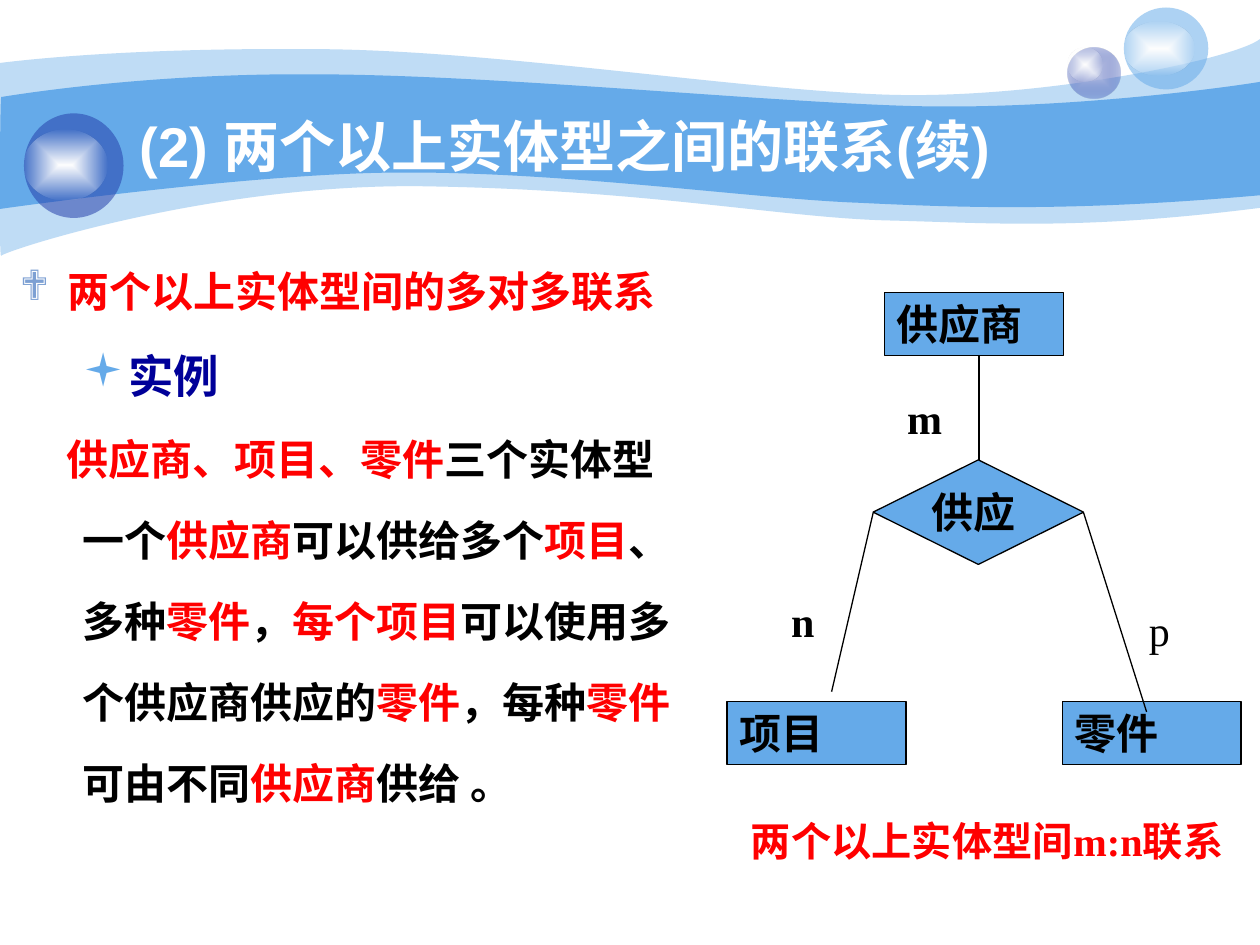
from lxml.etree import SubElement
from pptx import Presentation
from pptx.dml.color import RGBColor
from pptx.enum.shapes import MSO_CONNECTOR, MSO_SHAPE
from pptx.enum.text import MSO_ANCHOR, PP_ALIGN
from pptx.oxml.ns import qn
from pptx.util import Inches, Pt

BLUE = RGBColor(0x65, 0xAA, 0xE9)
INDIGO = RGBColor(0x23, 0x3D, 0xA9)
LILAC = RGBColor(0xC7, 0xCE, 0xE9)
STEEL = RGBColor(0x7D, 0xA0, 0xD3)
NAVY = RGBColor(0x00, 0x00, 0x99)
RED = RGBColor(0xFF, 0x00, 0x00)
BLACK = RGBColor(0x00, 0x00, 0x00)
WHITE = RGBColor(0xFF, 0xFF, 0xFF)
SERIF = "Times New Roman"

WAVES = [
    (41, (0, 0.5), [
        (0.24, 0.47, 1.07, 0.38, 2.47, 0.39), (3.86, 0.39, 5.75, 0.7, 6.99, 0.75),
        (8.22, 0.8, 9.8, 0.47, 10, 0.31), (10, 1.65),
        (8.58, 1.83, 7.87, 1.77, 7.05, 1.75), (6.22, 1.73, 5.15, 1.51, 3.43, 1.48),
        (1.72, 1.44, 0.04, 1.99, 0.01, 2.03), (-0.01, 2.08, 0, 0.75, 0, 0.5)]),
    (100, (0.01, 0.77), [
        (0.02, 0.77, 1.1, 0.58, 2.48, 0.59), (3.86, 0.59, 5.95, 0.8, 7.18, 0.84),
        (8.41, 0.88, 9.76, 0.69, 10, 0.65), (10, 1.55),
        (8.53, 1.68, 7.65, 1.65, 6.82, 1.61), (5.99, 1.58, 4.47, 1.36, 3.17, 1.37),
        (2.03, 1.37, -0.02, 1.66, -0.01, 1.66), (0, 1.66, 0, 0.77, 0.01, 0.77)]),
]

GLOSS = [(WHITE, 100), (WHITE, 0)]
BUBBLES = [
    ((8.47, 0.38, 0.42, 0.4), [(LILAC, 100), (INDIGO, 31)]),
    ((8.47, 0.38, 0.28, 0.27), GLOSS),
    ((8.92, 0.06, 0.67, 0.65), [(BLUE, 53)]),
    ((8.92, 0.17, 0.56, 0.43), GLOSS),
    ((0.19, 0.9, 0.79, 0.83), [(INDIGO, 53)]),
    ((0.19, 1.03, 0.66, 0.56), GLOSS),
]

TITLE = "(2) 两个以上实体型之间的联系(续)"
BODY = [
    (0, 0.38, -0.38, 24, ("❖", STEEL), [("两个以上实体型间的多对多联系", RED)]),
    (1, 0.81, -0.31, 26, ("▪", BLUE), [("实例", NAVY)]),
    (0, 0.37, 0, 24, None, [("供应商、项目、零件", RED), ("三个实体型", BLACK)]),
    (1, 0.5, 0, 24, None, [("一个", BLACK), ("供应商", RED), ("可以供给多个", BLACK),
                           ("项目", RED), ("、", BLACK)]),
    (1, 0.5, 0, 24, None, [("多种", BLACK), ("零件", RED), ("，", BLACK),
                           ("每个项目", RED), ("可以使用多", BLACK)]),
    (1, 0.5, 0, 24, None, [("个供应商供应的", BLACK), ("零件", RED), ("，每种", BLACK),
                           ("零件", RED)]),
    (1, 0.5, 0, 24, None, [("可由不同", BLACK), ("供应商", RED), ("供给 。", BLACK)]),
]

ENTITIES = [("供应商", 7.02, 2.32), ("项目", 5.77, 5.57), ("零件", 8.43, 5.57)]
RELATION = ("供应 ", (6.93, 3.65, 1.67, 0.83))
LINKS = [((7.77, 3.65), (7.77, 2.82)), ((6.93, 4.07), (6.6, 5.49)),
         ((8.6, 4.07), (9.1, 5.65))]
CARDINALITIES = [("m", 7.1, 3.07, 0.9, True), ("p", 9.02, 4.75, 0.5, False),
                 ("n", 6.18, 4.68, 0.5, True)]
CAPTION = "两个以上实体型间m:n联系"


def add_color(parent, color, alpha):
    clr = SubElement(parent, qn("a:srgbClr"), val=str(color))
    if alpha < 100:
        SubElement(clr, qn("a:alpha"), val=str(alpha * 1000))


def style(sp, stops, line=None):
    sp.shadow.inherit = False
    if len(stops) == 1:
        color, alpha = stops[0]
        sp.fill.solid()
        sp.fill.fore_color.rgb = color
        if alpha < 100:
            clr = sp.fill._xPr.find(".//" + qn("a:srgbClr"))
            SubElement(clr, qn("a:alpha"), val=str(alpha * 1000))
    else:
        sp.fill.gradient()
        grad = sp.fill._xPr.find(qn("a:gradFill"))
        for child in list(grad):
            grad.remove(child)
        gs_list = SubElement(grad, qn("a:gsLst"))
        for pos, (color, alpha) in zip((0, 100000), stops):
            add_color(SubElement(gs_list, qn("a:gs"), pos=str(pos)), color, alpha)
        center = SubElement(grad, qn("a:path"), {"path": "rect"})
        SubElement(center, qn("a:fillToRect"), l="50000", t="50000", r="50000", b="50000")
    if line is None:
        sp.line.fill.background()
    else:
        sp.line.color.rgb = line
        sp.line.width = Pt(0.75)


def add_text(p, text, size=24, font=SERIF, color=BLACK, bold=True, align=PP_ALIGN.LEFT):
    p.alignment = align
    r = p.add_run()
    r.text = text
    r.font.size = Pt(size)
    r.font.name = font
    r.font.bold = bold
    r.font.color.rgb = color


def add_box(s, box, anchor=MSO_ANCHOR.TOP):
    tf = s.shapes.add_textbox(*map(Inches, box)).text_frame
    tf.word_wrap = True
    tf.vertical_anchor = anchor
    return tf


def add_shape(s, kind, box, stops, line=None):
    sp = s.shapes.add_shape(kind, *map(Inches, box))
    style(sp, stops, line)
    return sp


def add_wave(s, alpha, start, segments):
    fb = s.shapes.build_freeform(*map(Inches, start))
    fb.add_line_segments([tuple(map(Inches, seg[-2:])) for seg in segments], close=True)
    sp = fb.convert_to_shape()
    lines = list(sp._element.iter(qn("a:lnTo")))
    for ln, seg in zip(lines, segments):
        if len(seg) == 6:
            ln.tag = qn("a:cubicBezTo")
            controls = [SubElement(ln, qn("a:pt"), x=str(Inches(x) - sp.left),
                                   y=str(Inches(y) - sp.top))
                        for x, y in (seg[:2], seg[2:4])]
            for i, pt in enumerate(controls):
                ln.insert(i, pt)
    style(sp, [(BLUE, alpha)])


def add_bullet(p, char, color):
    pPr = p._p.get_or_add_pPr()
    add_color(SubElement(pPr, qn("a:buClr")), color, 100)
    SubElement(pPr, qn("a:buFont"), typeface="Wingdings", charset="2")
    SubElement(pPr, qn("a:buChar"), char=char)


def add_body(s):
    tf = add_box(s, (0.06, 1.9, 5.49, 5.21))
    for i, (level, margin, indent, size, bullet, runs) in enumerate(BODY):
        p = tf.add_paragraph() if i else tf.paragraphs[0]
        if bullet:
            add_bullet(p, *bullet)
        p.level = level
        pPr = p._p.get_or_add_pPr()
        pPr.set("marL", str(Inches(margin)))
        pPr.set("indent", str(Inches(indent)))
        p.line_spacing = 1.4
        p.space_before = Pt(6 if i else 0)
        for text, color in runs:
            add_text(p, text, size=size, font="Arial", color=color)


def add_diagram(s):
    for text, x, y in ENTITIES:
        sp = add_shape(s, MSO_SHAPE.RECTANGLE, (x, y, 1.42, 0.5), [(BLUE, 100)], BLACK)
        sp.text_frame.vertical_anchor = MSO_ANCHOR.TOP
        add_text(sp.text_frame.paragraphs[0], text)
    text, box = RELATION
    sp = add_shape(s, MSO_SHAPE.DIAMOND, box, [(BLUE, 100)], BLACK)
    sp.text_frame.word_wrap = False
    add_text(sp.text_frame.paragraphs[0], text, align=PP_ALIGN.CENTER)
    for start, end in LINKS:
        line = s.shapes.add_connector(MSO_CONNECTOR.STRAIGHT, *map(Inches, start + end))
        line.line.color.rgb = BLACK
        line.line.width = Pt(0.75)
        SubElement(line._element.spPr, qn("a:effectLst"))
    for text, x, y, height, bold in CARDINALITIES:
        add_text(add_box(s, (x, y, 0.42, height)).paragraphs[0], text, bold=bold)
    add_text(add_box(s, (5.55, 6.43, 4.57, 0.49)).paragraphs[0], CAPTION,
             size=23, color=RED, align=PP_ALIGN.CENTER)


def main():
    prs = Presentation()
    prs.slide_width, prs.slide_height = Inches(10), Inches(7.5)
    s = prs.slides.add_slide(prs.slide_layouts[6])
    for wave in WAVES:
        add_wave(s, *wave)
    for box, stops in BUBBLES:
        add_shape(s, MSO_SHAPE.OVAL, box, stops)
    title = add_box(s, (1.01, 0.84, 8.08, 0.62), MSO_ANCHOR.MIDDLE)
    add_text(title.paragraphs[0], TITLE, size=32, font="Arial", color=WHITE)
    add_body(s)
    add_diagram(s)
    prs.save("out.pptx")


if __name__ == "__main__":
    main()
